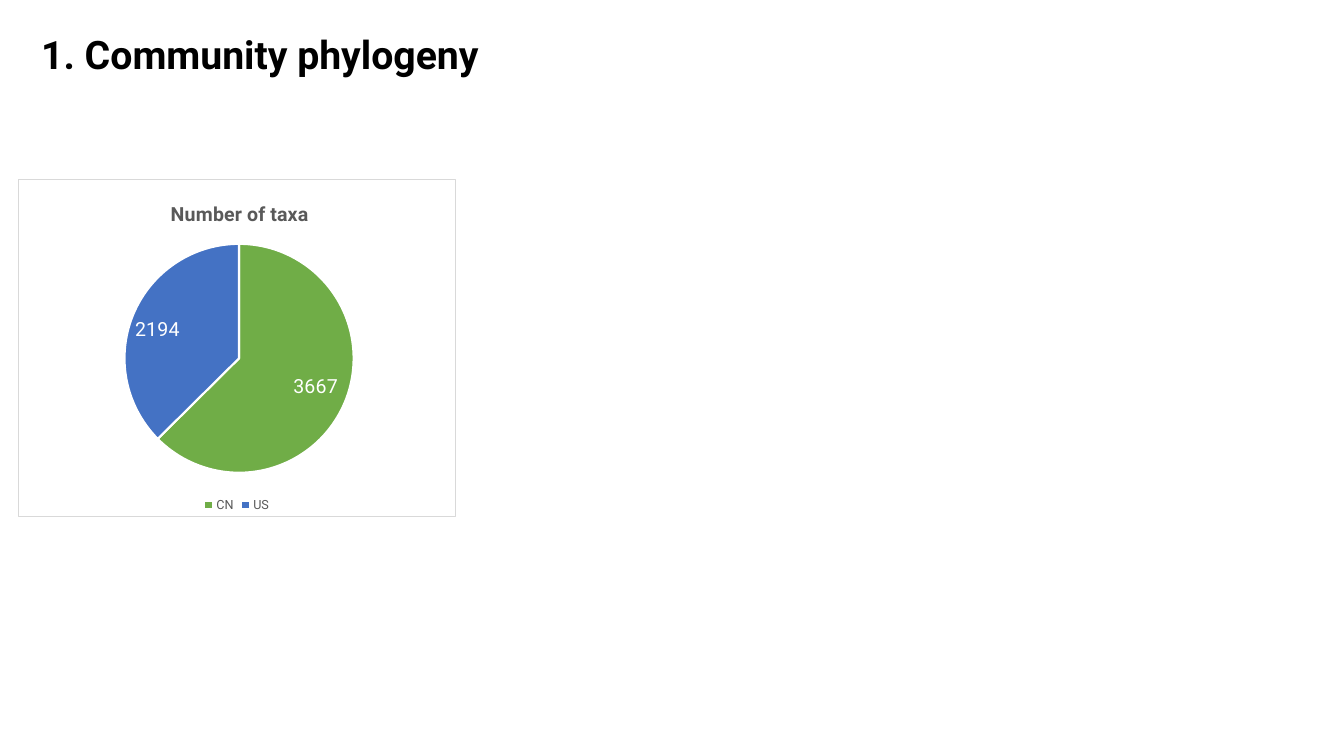
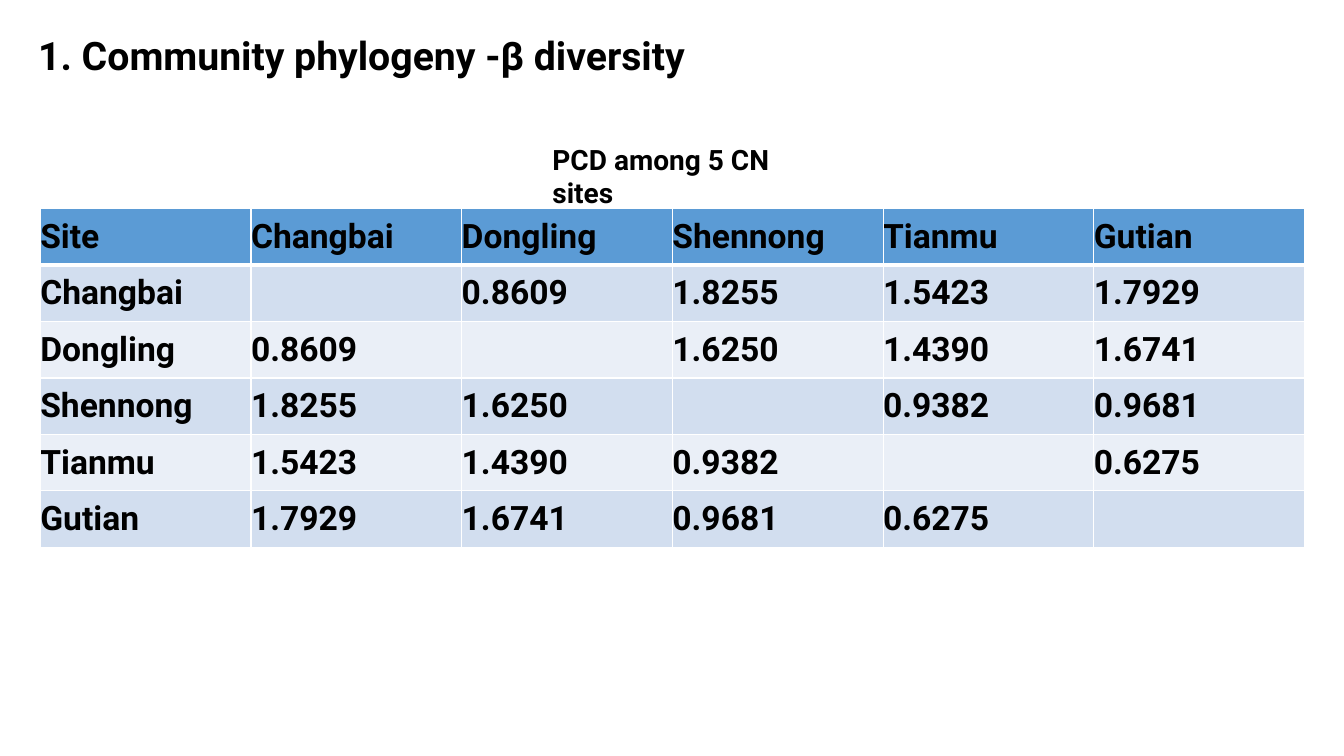
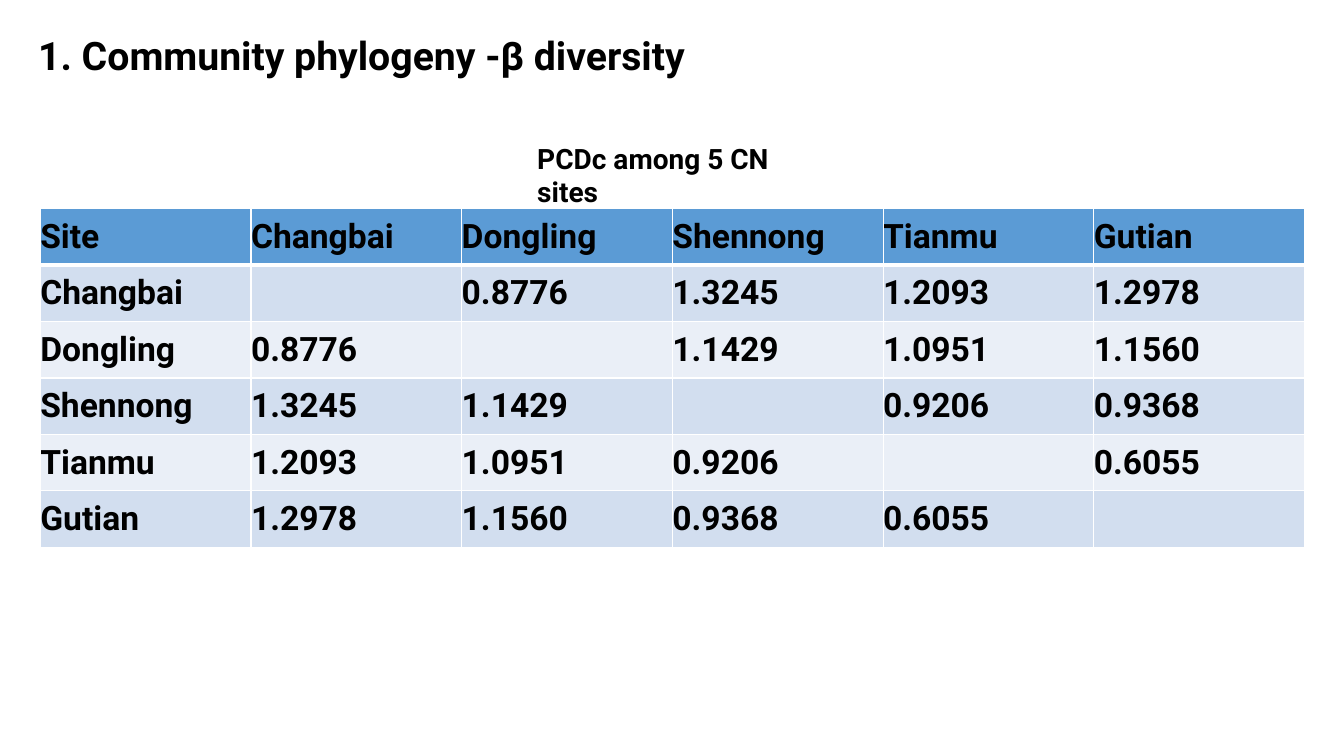
from dataclasses import dataclass

from lxml.etree import SubElement
from pptx import Presentation
from pptx.chart.data import CategoryChartData
from pptx.dml.color import RGBColor
from pptx.enum.chart import XL_CHART_TYPE, XL_LABEL_POSITION, XL_LEGEND_POSITION
from pptx.enum.text import MSO_ANCHOR, MSO_AUTO_SIZE
from pptx.oxml import parse_xml
from pptx.oxml.ns import nsdecls, qn
from pptx.util import Inches, Pt


@dataclass(frozen=True)
class Theme:
    font: str = "Roboto"
    ink: str = "000000"
    white: str = "FFFFFF"
    gray: str = "595959"
    frame: str = "D9D9D9"
    header: str = "5B9BD5"
    bands: tuple = ("D2DEEF", "EAEFF7")
    slices: tuple = ("70AD47", "4472C4")
    title_size: int = 28
    table_size: int = 24
    caption_size: int = 20
    chart_size: int = 14
    legend_size: int = 9


THEME = Theme()
SITES = ["Changbai", "Dongling", "Shennong", "Tianmu", "Gutian"]


def format_font(font, size, color=THEME.ink, bold=False):
    font.name = THEME.font
    font.size = Pt(size)
    font.bold = bold
    font.color.rgb = RGBColor.from_string(color)


def write_text(frame, text, **style):
    run = frame.paragraphs[0].add_run()
    run.text = text
    format_font(run.font, **style)


def set_borders(cell, **widths):
    """Draw white borders; widths are points keyed by side: L, R, T, B."""
    properties = cell._tc.get_or_add_tcPr()
    for index, side in enumerate("LRTB"):
        line = parse_xml(
            f'<a:ln{side} {nsdecls("a")} w="{Pt(widths.get(side, 1))}">'
            f'<a:solidFill><a:srgbClr val="{THEME.white}"/></a:solidFill></a:ln{side}>')
        properties.insert(index, line)


def manual_layout(x, y, width=None, height=None):
    """Return a chart layout given as fractions of the chart frame."""
    layout = parse_xml(f'<c:layout {nsdecls("c")}><c:manualLayout/></c:layout>')
    settings = [("xMode", "edge"), ("yMode", "edge"), ("x", x), ("y", y)]
    if width is not None:
        settings.insert(0, ("layoutTarget", "inner"))
        settings += [("w", width), ("h", height)]
    for name, value in settings:
        SubElement(layout[0], qn(f"c:{name}")).set("val", str(value))
    return layout


def symmetric_rows(upper):
    """Mirror the upper triangle and leave the diagonal empty."""
    size = len(upper) + 1
    rows = [[""] * size for _ in range(size)]
    for row, values in enumerate(upper):
        for column, value in enumerate(values, row + 1):
            rows[row][column] = rows[column][row] = value
    return rows


class Deck:
    def __init__(self, theme):
        self.theme = theme
        self.presentation = Presentation()
        self.presentation.slide_width = Inches(13.33)
        self.presentation.slide_height = Inches(7.5)
        self.slide = None

    def add_slide(self):
        self.slide = self.presentation.slides.add_slide(self.presentation.slide_layouts[6])

    def text_box(self, text, left, top, width, height, size):
        shape = self.slide.shapes.add_textbox(
            Inches(left), Inches(top), Inches(width), Inches(height))
        shape.text_frame.word_wrap = True
        shape.text_frame.auto_size = MSO_AUTO_SIZE.SHAPE_TO_FIT_TEXT
        write_text(shape.text_frame, text, size=size, bold=True)

    def title(self, text, left=0.28, top=0.26, width=7.34):
        self.text_box(text, left, top, width, 0.57, self.theme.title_size)

    def caption(self, text, left, top, width):
        self.text_box(text, left, top, width, 0.44, self.theme.caption_size)

    def site_table(self, upper):
        rows = [["Site", *SITES]]
        rows += [[site, *values] for site, values in zip(SITES, symmetric_rows(upper))]
        table = self.slide.shapes.add_table(
            len(rows), len(rows[0]), Inches(0.4), Inches(2.07),
            Inches(12.54), Inches(3.36)).table
        for row_index, values in enumerate(rows):
            fill = self.theme.bands[(row_index - 1) % 2] if row_index else self.theme.header
            borders = {0: {"B": 3}, 1: {"T": 3}}.get(row_index, {})
            for column_index, text in enumerate(values):
                cell = table.cell(row_index, column_index)
                cell.fill.solid()
                cell.fill.fore_color.rgb = RGBColor.from_string(fill)
                cell.vertical_anchor = MSO_ANCHOR.MIDDLE
                cell.margin_left = cell.margin_right = 0
                cell.margin_top = cell.margin_bottom = 0
                set_borders(cell, **borders)
                if text:
                    write_text(cell.text_frame, text, size=self.theme.table_size, bold=True)

    def pie_chart(self, title, counts, left, top, width, height):
        theme = self.theme
        data = CategoryChartData()
        data.categories = list(counts)
        data.add_series("Series 1", list(counts.values()))
        chart = self.slide.shapes.add_chart(
            XL_CHART_TYPE.PIE, Inches(left), Inches(top),
            Inches(width), Inches(height), data).chart
        format_font(chart.font, 10)

        chart.has_title = True
        write_text(chart.chart_title.text_frame, title,
                   size=theme.chart_size, color=theme.gray, bold=True)
        title_element = chart._chartSpace.chart.find(qn("c:title"))
        for layout in title_element.findall(qn("c:layout")):
            title_element.remove(layout)
        title_element.find(qn("c:tx")).addnext(manual_layout(0.34, 0.05))

        chart.has_legend = True
        chart.legend.position = XL_LEGEND_POSITION.BOTTOM
        chart.legend.include_in_layout = False
        format_font(chart.legend.font, theme.legend_size, theme.gray)

        plot = chart.plots[0]
        plot.vary_by_categories = True
        for index, color in enumerate(theme.slices):
            slice_format = plot.series[0].points[index].format
            slice_format.fill.solid()
            slice_format.fill.fore_color.rgb = RGBColor.from_string(color)
            slice_format.line.color.rgb = RGBColor.from_string(theme.white)
            slice_format.line.width = Pt(1.5)
        labels = plot.series[0].data_labels
        labels.show_value = True
        labels.number_format = "0_ "
        labels.number_format_is_linked = False
        labels.position = XL_LABEL_POSITION.BEST_FIT
        format_font(labels.font, theme.chart_size, theme.white)

        plot_area = chart._chartSpace.chart.plotArea
        for layout in plot_area.findall(qn("c:layout")):
            plot_area.remove(layout)
        plot_area.insert(0, manual_layout(0.24, 0.19, 0.53, 0.68))
        chart._chartSpace.chart.addnext(parse_xml(
            f'<c:spPr {nsdecls("c", "a")}>'
            f'<a:solidFill><a:srgbClr val="{theme.white}"/></a:solidFill>'
            f'<a:ln w="{Pt(0.75)}"><a:solidFill><a:srgbClr val="{theme.frame}"/>'
            '</a:solidFill></a:ln></c:spPr>'))


def main():
    deck = Deck(THEME)

    deck.add_slide()
    deck.title("1. Community phylogeny", left=0.31, top=0.25, width=8.46)
    deck.pie_chart("Number of taxa", {"CN": 3667, "US": 2194}, 0.18, 1.78, 4.34, 3.35)

    distance_slides = [
        (("PCD among 5 CN sites", 5.38, 1.36, 2.75),
         [["0.8609", "1.8255", "1.5423", "1.7929"],
          ["1.6250", "1.4390", "1.6741"],
          ["0.9382", "0.9681"],
          ["0.6275"]]),
        (("PCDc among 5 CN sites", 5.23, 1.35, 2.87),
         [["0.8776", "1.3245", "1.2093", "1.2978"],
          ["1.1429", "1.0951", "1.1560"],
          ["0.9206", "0.9368"],
          ["0.6055"]]),
    ]
    for caption, upper in distance_slides:
        deck.add_slide()
        deck.title("1. Community phylogeny -β diversity")
        deck.caption(*caption)
        deck.site_table(upper)

    deck.presentation.save("out.pptx")


if __name__ == "__main__":
    main()
